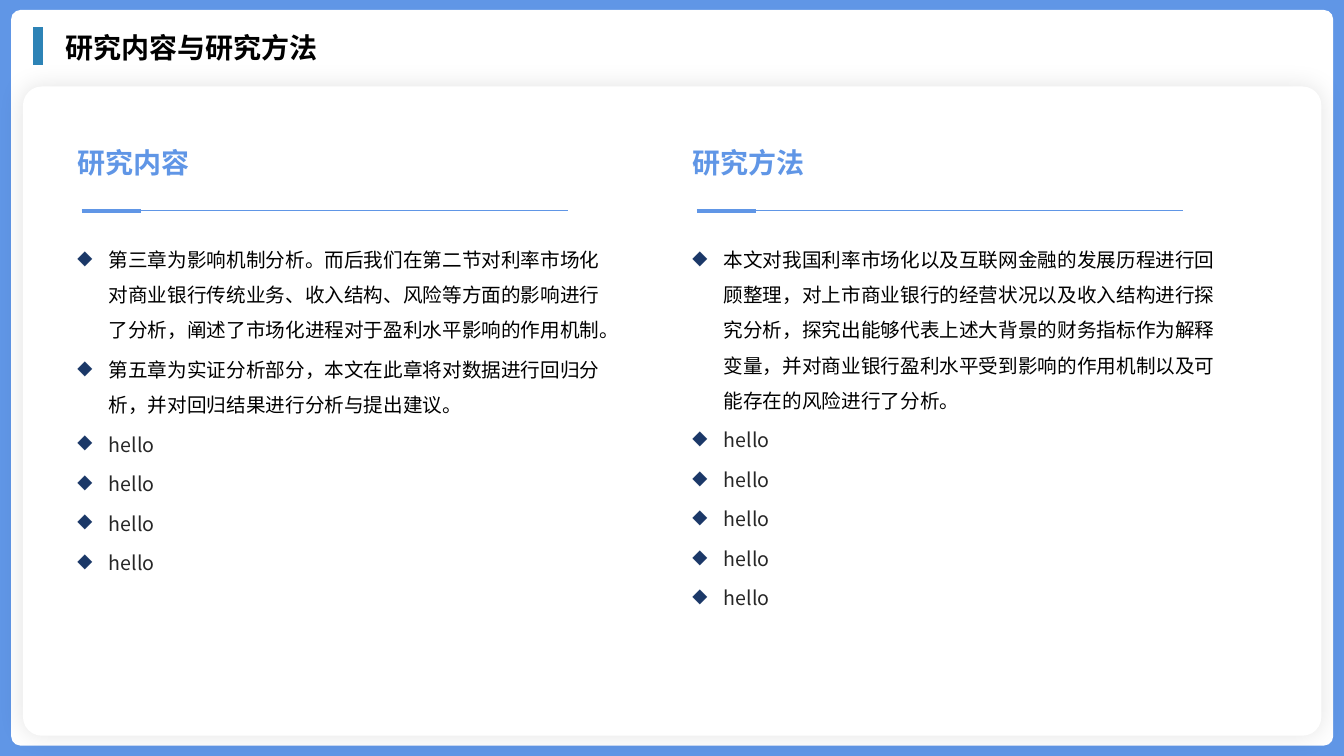
from lxml import etree
from pptx import Presentation
from pptx.dml.color import RGBColor
from pptx.enum.shapes import MSO_CONNECTOR, MSO_SHAPE
from pptx.enum.text import MSO_AUTO_SIZE
from pptx.oxml.ns import qn
from pptx.util import Cm, Pt

STRAIGHT = MSO_CONNECTOR.STRAIGHT
RECTANGLE = MSO_SHAPE.RECTANGLE
ROUNDED = MSO_SHAPE.ROUNDED_RECTANGLE
GROW = MSO_AUTO_SIZE.SHAPE_TO_FIT_TEXT

BLUE = RGBColor(0x60, 0x96, 0xE6)
TEAL = RGBColor(0x2D, 0x83, 0xB6)
NAVY = RGBColor(0x1B, 0x38, 0x68)
WHITE = RGBColor(0xFF, 0xFF, 0xFF)
BLACK = RGBColor(0x00, 0x00, 0x00)
GREY = RGBColor(0x26, 0x26, 0x26)
FONT = "Noto Sans CJK SC"

TITLE = "研究内容与研究方法"
FILLER = "hello"
COLUMNS = [
    ("研究内容", [
        "第三章为影响机制分析。而后我们在第二节对利率市场化对商业银行传统业务、收入结构、风险等方面的影响进行了分析，"
        "阐述了市场化进程对于盈利水平影响的作用机制。",
        "第五章为实证分析部分，本文在此章将对数据进行回归分析，并对回归结果进行分析与提出建议。",
    ], 4),
    ("研究方法", [
        "本文对我国利率市场化以及互联网金融的发展历程进行回顾整理，对上市商业银行的经营状况以及收入结构进行探究分析，"
        "探究出能够代表上述大背景的财务指标作为解释变量，并对商业银行盈利水平受到影响的作用机制以及可能存在的风险进行了分析。",
    ], 5),
]

# Lengths in centimetres
SLIDE_WIDTH, SLIDE_HEIGHT = 33.87, 19.05
COLUMN_LEFT, COLUMN_PITCH = 1.7, 15.5
RULE_INSET, RULE_TOP = 0.36, 5.31
RULES = [(12.25, 1), (1.5, 3)]  # length, weight in points
INDENT = 0.79


def add_panel(slide, kind, left, top, width, height, color, radius=None):
    shape = slide.shapes.add_shape(kind, Cm(left), Cm(top), Cm(width), Cm(height))
    shape.shadow.inherit = False
    shape.fill.solid()
    shape.fill.fore_color.rgb = color
    shape.line.fill.background()
    if radius is not None:
        shape.adjustments[0] = radius
    return shape


def add_glow_shadow(shape):
    """Give the shape a soft, centred black shadow."""
    effects = shape._element.spPr.find(qn("a:effectLst"))
    shadow = etree.SubElement(effects, qn("a:outerShdw"), blurRad=str(Pt(18)),
                              dist="0", algn="ctr", rotWithShape="0")
    color = etree.SubElement(shadow, qn("a:srgbClr"), val=str(BLACK))
    etree.SubElement(color, qn("a:alpha"), val="11000")


def add_line(slide, start, end, color, weight):
    line = slide.shapes.add_connector(STRAIGHT, *(Cm(value) for value in start + end))
    line.line.color.rgb = color
    line.line.width = Pt(weight)
    etree.SubElement(line._element.spPr, qn("a:effectLst"))


def add_bullet(paragraph):
    properties = paragraph._p.get_or_add_pPr()
    properties.set("marL", str(Cm(INDENT)))
    properties.set("indent", str(-Cm(INDENT)))
    bullet_color = etree.SubElement(properties, qn("a:buClr"))
    etree.SubElement(bullet_color, qn("a:srgbClr"), val=str(NAVY))
    etree.SubElement(properties, qn("a:buChar"), char="◆")
    paragraph.line_spacing = 1.5
    paragraph.space_after = Pt(3)


def add_text(slide, lines, left, top, width, height, size=20, bold=False, bulleted=False):
    """Add a text box; lines holds (text, colour) pairs, one per paragraph."""
    box = slide.shapes.add_textbox(Cm(left), Cm(top), Cm(width), Cm(height))
    frame = box.text_frame
    frame.word_wrap = True
    frame.auto_size = GROW
    for index, (text, color) in enumerate(lines):
        paragraph = frame.add_paragraph() if index else frame.paragraphs[0]
        if bulleted:
            add_bullet(paragraph)
        run = paragraph.add_run()
        run.text = text
        run.font.size = Pt(size)
        run.font.bold = bold
        run.font.color.rgb = color
        run.font.name = FONT
        etree.SubElement(run._r.get_or_add_rPr(), qn("a:ea"), typeface=FONT)


def add_column(slide, left, heading, points, filler_count):
    add_text(slide, [(heading, BLUE)], left, 3.53, 9.02, 1.27, bold=True)
    rule_left = left + RULE_INSET
    for length, weight in RULES:
        add_line(slide, (rule_left, RULE_TOP), (rule_left + length, RULE_TOP), BLUE, weight)
    lines = [(point, BLACK) for point in points] + [(FILLER, GREY)] * filler_count
    add_text(slide, lines, left, 5.82, 13.79, 6.17, size=14, bulleted=True)


def main():
    presentation = Presentation()
    presentation.slide_width = Cm(SLIDE_WIDTH)
    presentation.slide_height = Cm(SLIDE_HEIGHT)
    slide = presentation.slides.add_slide(presentation.slide_layouts[6])

    add_panel(slide, RECTANGLE, 0, 0, SLIDE_WIDTH, SLIDE_HEIGHT, BLUE)
    add_panel(slide, ROUNDED, 0.28, 0.25, 33.32, 18.54, WHITE, radius=0.013)
    card = add_panel(slide, ROUNDED, 0.58, 2.18, 32.72, 16.36, WHITE, radius=0.029)
    add_glow_shadow(card)

    for index, column in enumerate(COLUMNS):
        add_column(slide, COLUMN_LEFT + index * COLUMN_PITCH, *column)

    add_line(slide, (0.95, 0.69), (0.95, 1.63), TEAL, 7.25)
    add_text(slide, [(TITLE, BLACK)], 1.4, 0.64, 31.55, 1.12, bold=True)
    presentation.save("out.pptx")


if __name__ == "__main__":
    main()
